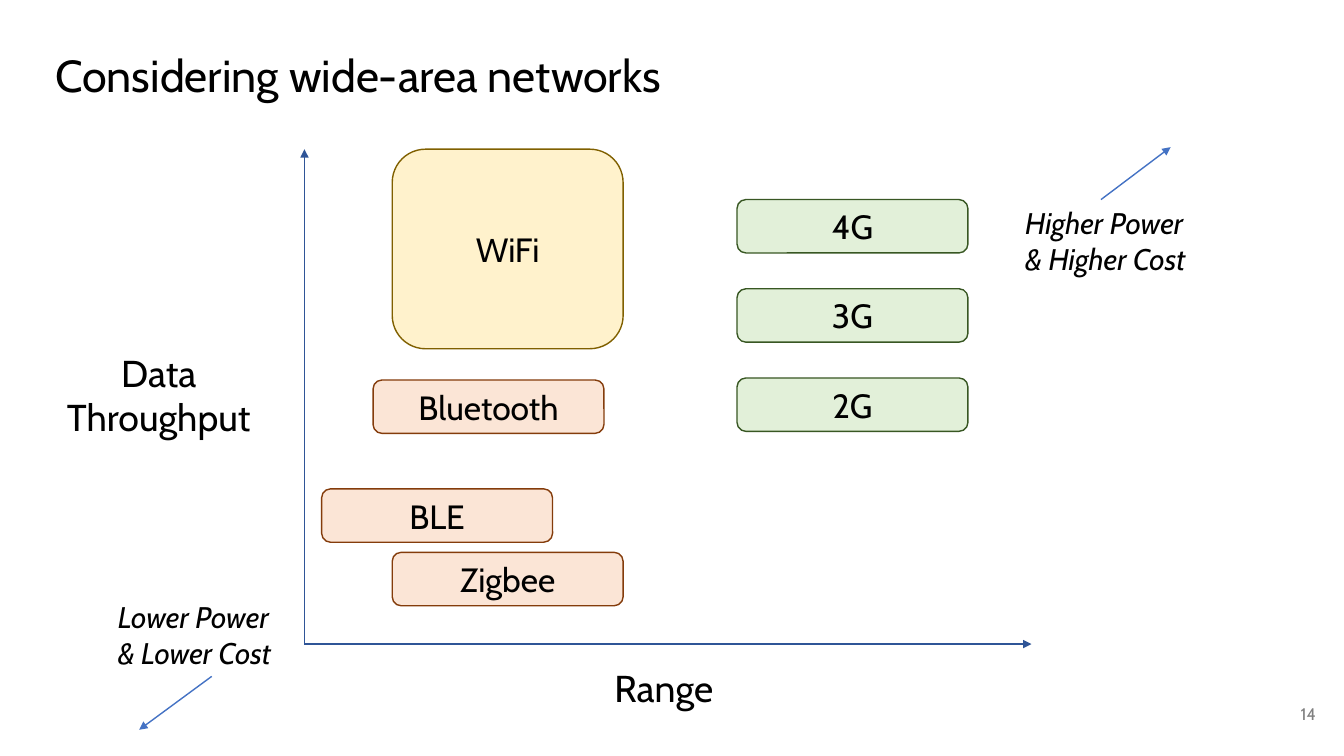
"""Build a slide that places wireless networks by range and data throughput."""
import pptx
import pptx.dml.color
import pptx.enum.shapes
import pptx.enum.text
import pptx.oxml
import pptx.oxml.ns
import pptx.util

WIDTH, HEIGHT = 13.33, 7.5
FONT = "Cabin"
COLORS = {
    "text": "000000",
    "page_number": "808080",
    "axis": "2F5597",
    "trend": "4472C4",
}
FAMILIES = {
    "personal": {"fill": "FBE5D6", "line": "843C0B"},
    "local": {"fill": "FFF2CC", "line": "806000"},
    "cellular": {"fill": "E2F0D9", "line": "385723"},
}

BOX_WIDTH, BOX_HEIGHT, WIFI_HEIGHT = 2.29, 0.53, 1.98
CELLULAR_LEFT, CELLULAR_TOP, CELLULAR_STEP = 7.31, 1.98, 0.885
CELLULAR = ["4G", "3G", "2G"]
NETWORKS = [
    ("Bluetooth", "personal", 3.7, 3.77, BOX_HEIGHT),
    ("WiFi", "local", 3.89, 1.48, WIFI_HEIGHT),
    ("BLE", "personal", 3.19, 4.85, BOX_HEIGHT),
    ("Zigbee", "personal", 3.89, 5.48, BOX_HEIGHT),
] + [
    (name, "cellular", CELLULAR_LEFT, CELLULAR_TOP + row * CELLULAR_STEP, BOX_HEIGHT)
    for row, name in enumerate(CELLULAR)
]

ORIGIN = (3.02, 6.39)
ARROWS = [
    (ORIGIN, (ORIGIN[0], 1.48), "axis"),
    (ORIGIN, (10.23, ORIGIN[1]), "axis"),
    ((2.1, 6.71), (1.38, 7.24), "trend"),
    ((10.92, 1.98), (11.61, 1.46), "trend"),
]

WIDE_INSETS = (0.1, 0.1)
LABELS = [
    ("Considering wide-area networks", (0.45, 0.43, 12.42, 0.84),
     {"size": 32, "spacing": 0.9, "insets": WIDE_INSETS}),
    ("14", (12.35, 6.8, 0.8, 0.57),
     {"size": 12, "color": "page_number", "align": "RIGHT", "anchor": "MIDDLE",
      "insets": WIDE_INSETS}),
    ("Data\nThroughput", (0.45, 3.42, 2.25, 1), {"size": 26.7, "align": "CENTER"}),
    ("Range", (5.58, 6.55, 2.01, 0.55), {"size": 26.7, "align": "CENTER"}),
    ("Lower Power\v& Lower Cost", (1.07, 5.89, 2.03, 0.82), {"size": 21.3, "italic": True}),
    ("Higher Power\v& Higher Cost", (10.07, 1.98, 2.16, 0.82), {"size": 21.3, "italic": True}),
]


def inches(values):
    return [pptx.util.Inches(value) for value in values]


def rgb(color):
    return pptx.dml.color.RGBColor.from_string(color)


def write_text(shape, text, *, size, color="text", align="LEFT", anchor="TOP",
               italic=False, spacing=1.0, insets=(0.1, 0.05)):
    frame = shape.text_frame
    frame.word_wrap = True
    frame.vertical_anchor = pptx.enum.text.MSO_ANCHOR[anchor]
    frame.margin_left = frame.margin_right = pptx.util.Inches(insets[0])
    frame.margin_top = frame.margin_bottom = pptx.util.Inches(insets[1])
    frame.text = text
    for paragraph in frame.paragraphs:
        paragraph.alignment = pptx.enum.text.PP_ALIGN[align]
        paragraph.line_spacing = spacing
        for run in paragraph.runs:
            run.font.name = FONT
            run.font.size = pptx.util.Pt(size)
            run.font.italic = italic
            run.font.color.rgb = rgb(COLORS[color])


def add_arrow(slide, start, end, color):
    connector = slide.shapes.add_connector(
        pptx.enum.shapes.MSO_CONNECTOR.STRAIGHT, *inches(start + end))
    connector.line.color.rgb = rgb(COLORS[color])
    connector.line.width = pptx.util.Pt(1)
    line = connector.line._get_or_add_ln()
    pptx.oxml.ns.qn("a:tailEnd")
    line.append(pptx.oxml.parse_xml(
        f'<a:tailEnd {pptx.oxml.ns.nsdecls("a")} type="triangle"/>'))
    connector._element.spPr.append(pptx.oxml.parse_xml(
        f'<a:effectLst {pptx.oxml.ns.nsdecls("a")}/>'))


def add_network(slide, name, family, left, top, height):
    shape = slide.shapes.add_shape(
        pptx.enum.shapes.MSO_SHAPE.ROUNDED_RECTANGLE,
        *inches((left, top, BOX_WIDTH, height)))
    shape.shadow.inherit = False
    shape.fill.solid()
    shape.fill.fore_color.rgb = rgb(FAMILIES[family]["fill"])
    shape.line.color.rgb = rgb(FAMILIES[family]["line"])
    shape.line.width = pptx.util.Pt(1)
    write_text(shape, name, size=24, align="CENTER", anchor="MIDDLE")


def main():
    presentation = pptx.Presentation()
    presentation.slide_width, presentation.slide_height = inches((WIDTH, HEIGHT))
    slide = presentation.slides.add_slide(presentation.slide_layouts[6])
    for arrow in ARROWS:
        add_arrow(slide, *arrow)
    for network in NETWORKS:
        add_network(slide, *network)
    for text, place, text_format in LABELS:
        write_text(slide.shapes.add_textbox(*inches(place)), text, **text_format)
    presentation.save("out.pptx")


if __name__ == "__main__":
    main()
